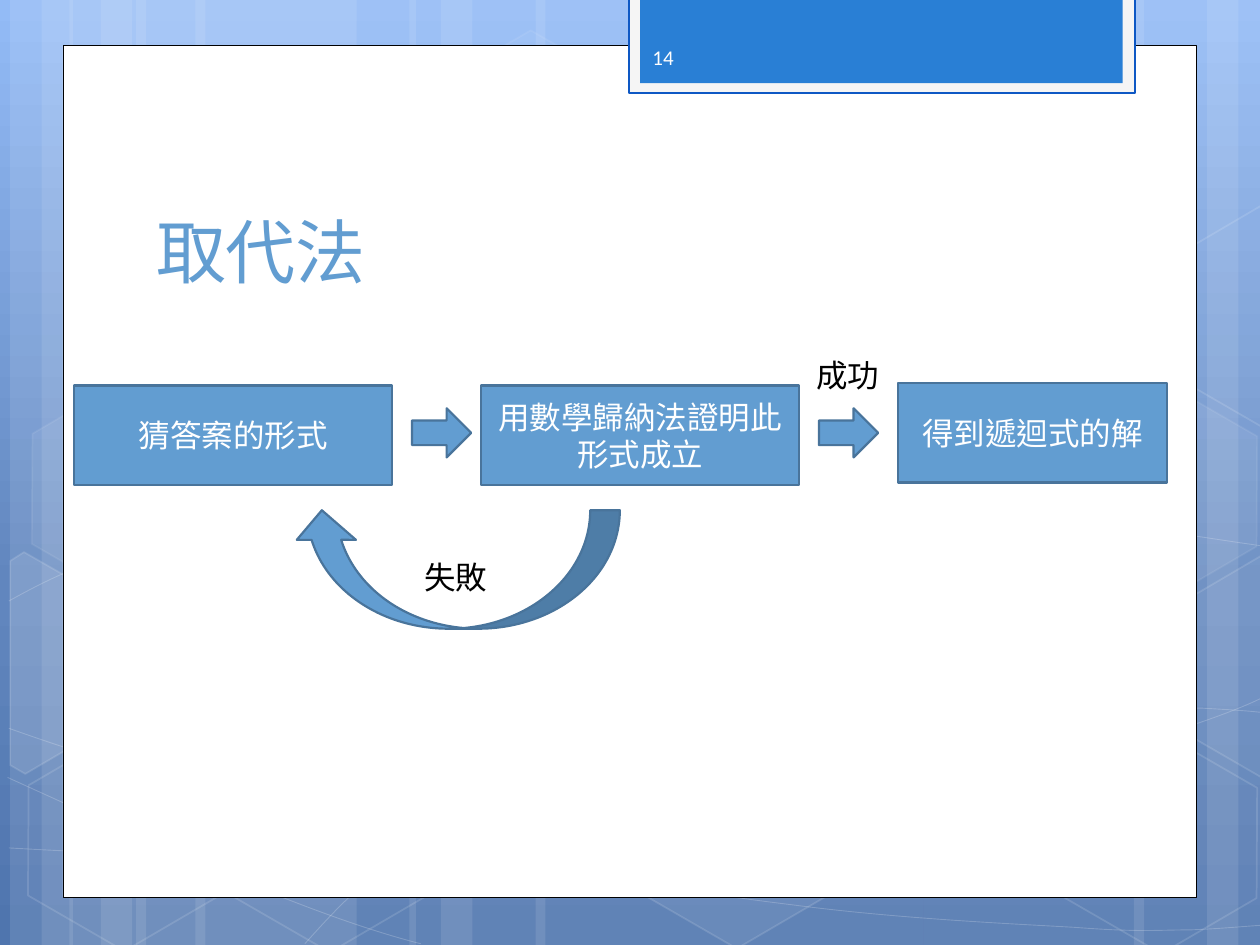
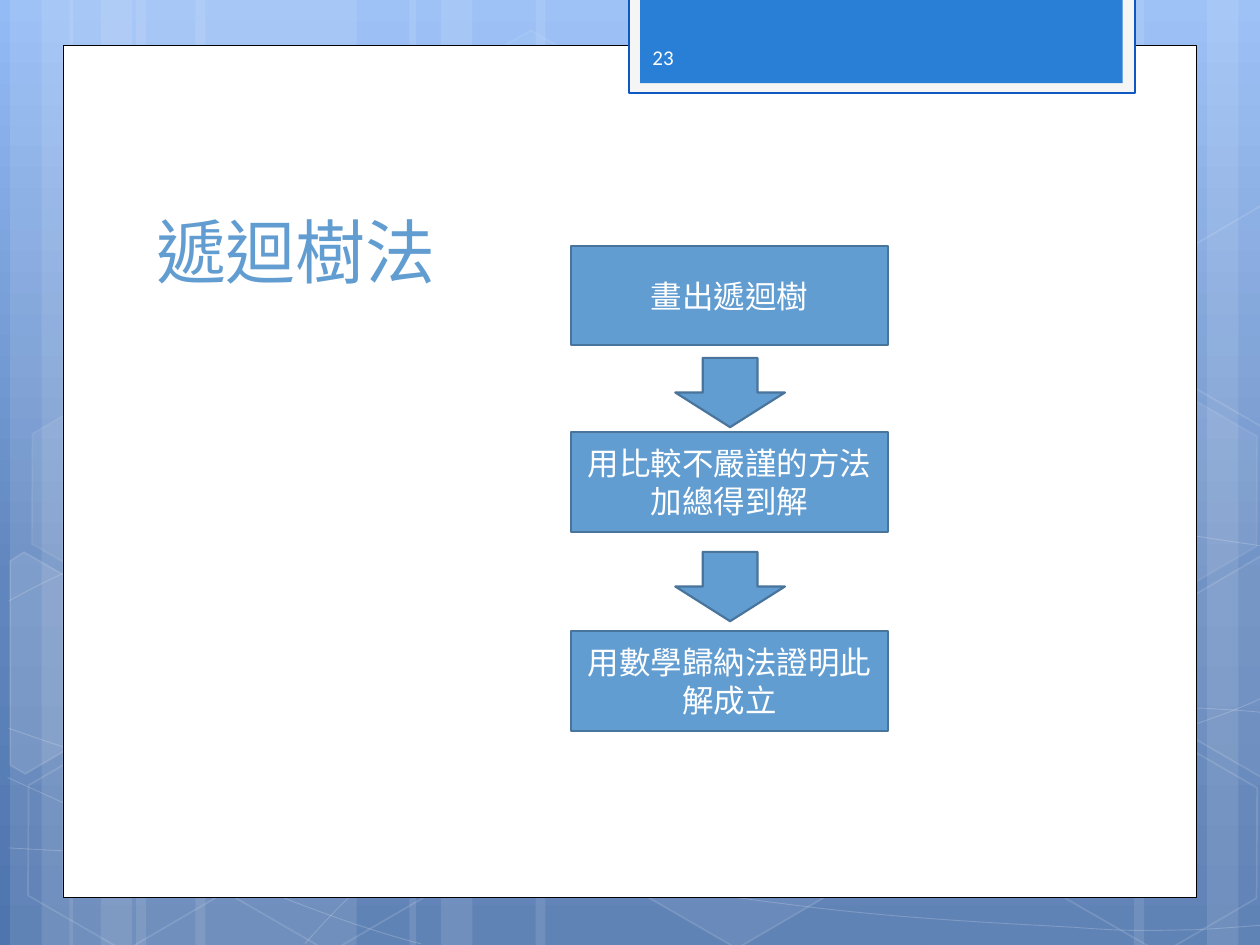
from copy import deepcopy
from math import cos, radians, sin

from pptx import Presentation
from pptx import util as u
from pptx.dml.color import RGBColor
from pptx.enum import lang, shapes, text
from pptx.oxml.ns import qn
from lxml import etree

IN = u.Inches
KIND = shapes.MSO_SHAPE
HUES = {
    "white": "FFFFFF", "black": "000000", "pale": "F5F5F5", "edge": "0E58C4",
    "tab": "297FD5", "step": "629DD1", "rim": "49749B", "page": "FEFEFE",
}
SKY = [(0, "93BBF6"), (0.62, "6186BE"), (1, "4F75AE")]
BODY, HEAD = "Calibri", "Noto Sans Mono"
TILT = 30

# Backdrop: bands as (left, width)
BANDS = [(1.08, 1.75), (0.08, 0.5), (0.33, 0.83), (1.55, 1.75), (0.55, 0.5),
         (0.8, 0.83), (7.33, 1.75), (9.58, 0.5), (9, 0.83), (4.25, 3.08),
         (3.25, 0.5), (3.5, 0.83)]
# Waves: a start point, then Bezier segments (six numbers) or lines (two)
WAVES = [
    [(0.07, 6.73), (0.61, 6.76, 1.15, 6.79, 1.9, 6.78),
     (2.65, 6.77, 3.58, 6.75, 4.58, 6.65), (5.58, 6.55, 7, 6.36, 7.92, 6.17),
     (8.83, 5.98, 9.77, 5.68, 10.07, 5.51)],
    [(0.07, 4.77), (0.36, 4.61, 0.65, 4.46, 1.21, 4.31),
     (1.78, 4.16, 2.59, 3.94, 3.47, 3.87), (4.36, 3.8, 5.44, 3.79, 6.54, 3.87),
     (7.64, 3.95, 9.47, 4.26, 10.07, 4.34)],
    [(0.06, 6.17), (1.27, 6.72, 2.47, 7.27, 3.34, 7.49)],
    [(0.07, 5.78), (0.38, 5.89, 0.7, 6, 1.28, 6.16),
     (1.86, 6.31, 2.73, 6.56, 3.57, 6.73), (4.4, 6.9, 5.45, 7.08, 6.28, 7.18),
     (7.11, 7.29, 8, 7.33, 8.53, 7.36), (9.05, 7.4, 9.19, 7.38, 9.45, 7.38),
     (9.71, 7.37, 9.89, 7.35, 10.07, 7.34)],
    [(2.42, 7.49), (2.6, 7.29, 2.78, 7.09, 3.02, 6.91),
     (3.26, 6.73, 3.6, 6.53, 3.88, 6.39), (4.16, 6.25, 4.33, 6.19, 4.7, 6.09),
     (5.06, 5.99, 5.73, 5.85, 6.08, 5.78), (6.44, 5.71, 6.49, 5.71, 6.8, 5.69),
     (7.11, 5.66, 7.6, 5.63, 7.94, 5.62), (8.29, 5.61, 8.86, 5.62, 8.86, 5.62),
     (9.53, 5.62), (9.71, 5.63, 9.88, 5.64, 9.97, 5.65),
     (10.06, 5.66, 10.03, 5.65, 10.06, 5.66)],
]
# Hexagons: left, top, fill opacity, line opacity
HEXES = [(3.34, 0.36, 4, 8), (4.97, 5.89, 6, 12), (0.11, 5.91, 0, 12),
         (0.14, 3.12, 7, 8), (1.74, 5.92, 0, 12), (7.53, 4.53, 10, 12),
         (8.34, 5.93, 0, 12), (8.34, 3.14, 7, 8)]
# Hexagons cut by the slide edge: fill opacity, centre, corners
CUTS = [
    (10, (0.36, 5.35), [(0.08, 4.45), (0.19, 4.38), (0.96, 4.82), (0.95, 5.7),
                        (0.2, 6.14), (0.08, 6.07)]),
    (4, (9.85, 5.2), [(9.26, 4.85), (10.01, 4.41), (10.09, 4.46),
                      (10.09, 6.13), (10.02, 6.17), (9.26, 5.73)]),
    (0, (9.85, 2.41), [(9.26, 2.07), (10.01, 1.63), (10.1, 1.68),
                       (10.09, 3.35), (10.02, 3.39), (9.26, 2.95)]),
]


def hue(name):
    return RGBColor.from_string(HUES[name])


def fade(node, pct):
    """Give every colour under node an opacity in percent."""
    for tint in node.iter(qn("a:srgbClr")):
        etree.SubElement(tint, qn("a:alpha")).set("val", str(pct * 1000))


def paint(shape, fill=None, line=None, width=1.25, clear=100, dim=100):
    """Set fill and line; clear and dim are their opacities."""
    shape.shadow.inherit = False
    spot = shape.element.spPr
    if fill and clear:
        shape.fill.solid()
        shape.fill.fore_color.rgb = hue(fill)
        if clear < 100:
            fade(spot.find(qn("a:solidFill")), clear)
    else:
        shape.fill.background()
    if line:
        shape.line.color.rgb = hue(line)
        shape.line.width = u.Pt(width)
        if dim < 100:
            fade(spot.find(qn("a:ln")), dim)
    else:
        shape.line.fill.background()
    return shape


def add(slide, kind, box, *args, **look):
    shape = slide.shapes.add_shape(kind, *map(IN, box))
    return paint(shape, *args, **look)


def write(shape, words, size, tint, font=BODY, mid=False):
    para = shape.text_frame.paragraphs[0]
    para.alignment = text.PP_ALIGN.CENTER if mid else text.PP_ALIGN.LEFT
    run = para.add_run()
    run.text = words
    run.font.size = u.Pt(size)
    run.font.name = font
    run.font.color.rgb = hue(tint)
    run.font.language_id = lang.MSO_LANGUAGE_ID.TRADITIONAL_CHINESE


def label(slide, box, words, size=18, tint="black", font=BODY,
          anchor=text.MSO_ANCHOR.TOP, wrap=False):
    area = slide.shapes.add_textbox(*map(IN, box))
    area.text_frame.word_wrap = wrap
    area.text_frame.vertical_anchor = anchor
    write(area, words, size, tint, font)


def trace(slide, points, close):
    spots = [(IN(x), IN(y)) for x, y in points]
    pen = slide.shapes.build_freeform(*spots[0])
    pen.add_line_segments(spots[1:], close=close)
    return pen.convert_to_shape()


def wave(slide, parts):
    """Trace all points, then join each three into one Bezier curve."""
    points = [part[i:i + 2] for part in parts for i in range(0, len(part), 2)]
    shape = trace(slide, points, False)
    steps = iter(list(shape.element.iter(qn("a:lnTo"))))
    for part in parts[1:]:
        nodes = [next(steps) for _ in range(len(part) // 2)]
        if len(nodes) == 3:
            curve = etree.Element(qn("a:cubicBezTo"))
            nodes[0].addprevious(curve)
            for node in nodes:
                curve.append(node[0])
                node.getparent().remove(node)
    paint(shape, None, "white", 0.5, dim=20)


def cut(slide, clear, centre, points):
    """Trace the corners upright, then tilt the shape into place."""
    (a, b), c, s = centre, cos(radians(TILT)), sin(radians(TILT))
    flat = [(a + (x - a) * c + (y - b) * s, b - (x - a) * s + (y - b) * c)
            for x, y in points]
    shape = trace(slide, flat, True)
    shape.rotation = TILT
    paint(shape, "white", "white", 1, clear, 12)


def sky(slide):
    fill = slide.background.fill
    fill.gradient()
    fill.gradient_angle = 270
    stops = slide.element.find(".//" + qn("a:gsLst"))
    stops.insert(1, deepcopy(stops[0]))
    for stop, (place, tint) in zip(fill.gradient_stops, SKY):
        stop.position = place
        stop.color.rgb = RGBColor.from_string(tint)


def scene(slide):
    sky(slide)
    for left, width in BANDS:
        add(slide, KIND.RECTANGLE, (left, 0, width, 7.5), "white", clear=10)
    for parts in WAVES:
        wave(slide, parts)
    for left, top, clear, dim in HEXES:
        cell = add(slide, KIND.HEXAGON, (left, top, 1.75, 1.52),
                   "white", "white", 1, clear, dim)
        cell.adjustments[0] = 0.285
        cell.rotation = TILT
    for piece in CUTS:
        cut(slide, *piece)


def start(deck, title, page):
    """Add a slide with backdrop, sheet, page tab and title."""
    slide = deck.slides.add_slide(deck.slide_layouts[6])
    scene(slide)
    add(slide, KIND.RECTANGLE, (0.5, 0.36, 9, 6.76), "white", "black", 0.5)
    add(slide, KIND.RECTANGLE, (4.99, -0.02, 4.02, 0.76), "pale", "edge")
    add(slide, KIND.RECTANGLE, (5.08, -0.02, 3.83, 0.68), "tab")
    label(slide, (1.14, 1.12, 7.68, 1.25), title, 40, "step", HEAD,
          text.MSO_ANCHOR.BOTTOM, True)
    label(slide, (5.08, 0.25, 1.46, 0.4), page, 12, "page",
          anchor=text.MSO_ANCHOR.MIDDLE, wrap=True)
    return slide


def step(slide, left, top, words, width=2.52):
    box = add(slide, KIND.RECTANGLE, (left, top, width, 0.79), "step", "rim")
    box.text_frame.word_wrap = True
    box.text_frame.vertical_anchor = text.MSO_ANCHOR.MIDDLE
    write(box, words, 18, "white", mid=True)


def arrow(slide, kind, *box):
    return add(slide, kind, box, "step", "rim")


def swap(deck):
    slide = start(deck, "取代法", "14")
    step(slide, 0.59, 3.06, "猜答案的形式")
    step(slide, 3.82, 3.06, "用數學歸納法證明此形式成立")
    step(slide, 7.13, 3.04, "得到遞迴式的解", 2.13)
    for left in (3.27, 6.5):
        arrow(slide, KIND.RIGHT_ARROW, left, 3.24, 0.47, 0.39)
    back = arrow(slide, KIND.CURVED_UP_ARROW, 2.32, 4.05, 2.6, 0.94)
    back.element.spPr.find(qn("a:xfrm")).set("flipH", "1")
    label(slide, (6.38, 2.78, 0.71, 0.4), "成功")
    label(slide, (3.27, 4.38, 0.71, 0.4), "失敗")


def tree(deck):
    slide = start(deck, "遞迴樹法", "23")
    for top, words in [(1.95, "畫出遞迴樹"),
                       (3.43, "用比較不嚴謹的方法加總得到解"),
                       (5.01, "用數學歸納法證明此解成立")]:
        step(slide, 4.53, top, words)
    for top in (2.84, 4.38):
        arrow(slide, KIND.DOWN_ARROW, 5.36, top, 0.87, 0.55)


def main():
    deck = Presentation()
    deck.slide_width, deck.slide_height = IN(10), IN(7.5)
    swap(deck)
    tree(deck)
    deck.save("out.pptx")


if __name__ == "__main__":
    main()
